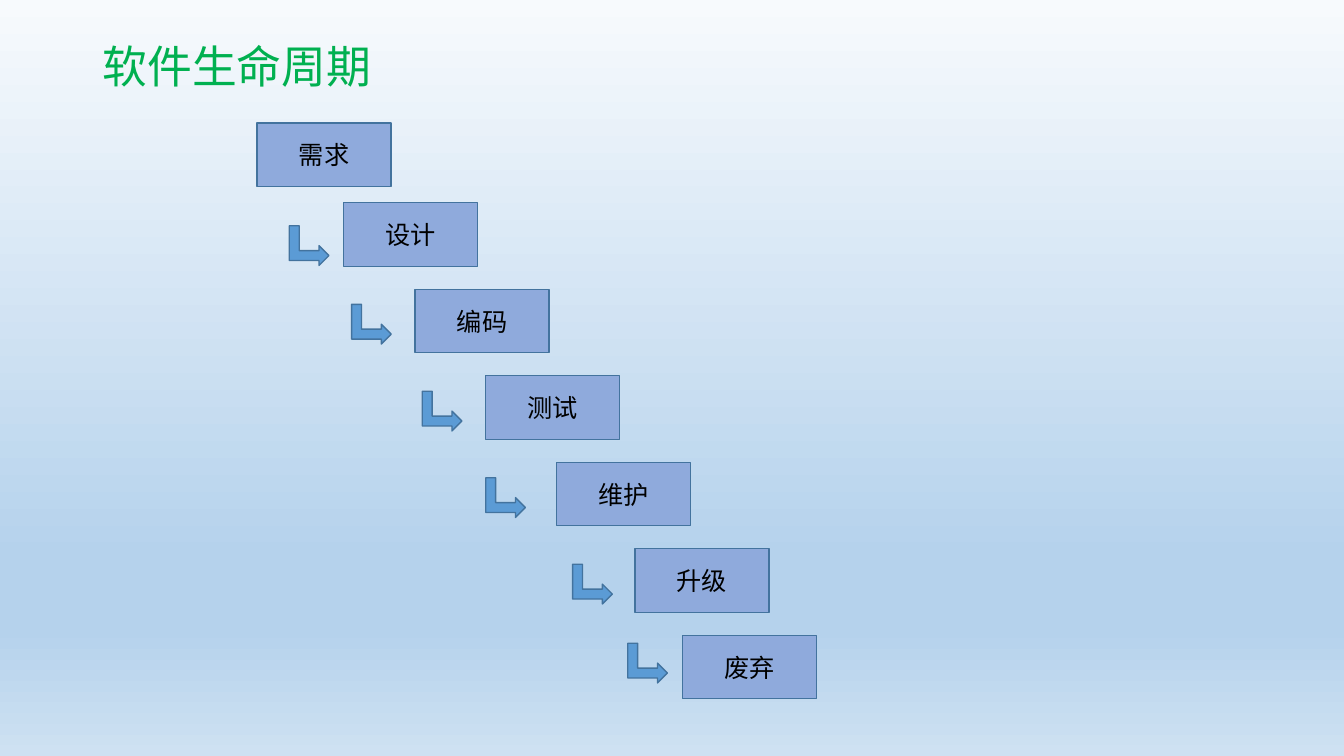
from copy import deepcopy

from lxml import etree
from pptx import Presentation
from pptx.dml.color import RGBColor
from pptx.enum.shapes import MSO_SHAPE
from pptx.enum.text import MSO_ANCHOR, PP_ALIGN
from pptx.oxml.ns import qn
from pptx.util import Cm, Pt

RECTANGLE = MSO_SHAPE.RECTANGLE
BENT_ARROW = MSO_SHAPE.BENT_UP_ARROW
TOP, MIDDLE = MSO_ANCHOR.TOP, MSO_ANCHOR.MIDDLE
LEFT, CENTER = PP_ALIGN.LEFT, PP_ALIGN.CENTER

GREEN = RGBColor(0x00, 0xB0, 0x50)
BLACK = RGBColor(0x00, 0x00, 0x00)
BOX_BLUE = RGBColor(0x8F, 0xAA, 0xDC)
ARROW_BLUE = RGBColor(0x5B, 0x9B, 0xD5)
OUTLINE = RGBColor(0x43, 0x73, 0x9E)
SKY_PALE = RGBColor(0xF7, 0xFA, 0xFD)
SKY_DEEP = RGBColor(0xB5, 0xD2, 0xEC)
SKY_SOFT = RGBColor(0xCE, 0xE1, 0xF2)

CJK_FONT = "Noto Sans CJK SC"
TITLE_FONT = {"name": CJK_FONT, "size": Pt(32), "color": GREEN}
BOX_FONT = {"name": "Calibri", "size": Pt(18), "color": BLACK}


def write_text(shape, text, font, alignment, anchor):
    frame = shape.text_frame
    frame.word_wrap = True
    frame.vertical_anchor = anchor
    para = frame.paragraphs[0]
    para.alignment = alignment
    span = para.add_run()
    span.text = text
    for name, value in font.items():
        if name == "color":
            span.font.color.rgb = value
        else:
            setattr(span.font, name, value)
    east_asian = etree.SubElement(span.font._element, qn("a:ea"))
    east_asian.set("typeface", CJK_FONT)
    return para


def add_filled_shape(kind, left, top, width, height, color):
    shape = slide.shapes.add_shape(kind, Cm(left), Cm(top), Cm(width), Cm(height))
    shape.shadow.inherit = False
    shape.fill.solid()
    shape.fill.fore_color.rgb = color
    shape.line.color.rgb = OUTLINE
    shape.line.width = Pt(1)
    return shape


deck = Presentation()
deck.slide_width, deck.slide_height = Cm(33.87), Cm(19.05)
slide = deck.slides.add_slide(deck.slide_layouts[5])

sky = slide.background.fill
sky.gradient()
sky.gradient_angle = 270
stop_list = next(slide.background._cSld.iter(qn("a:gsLst")))
for stop in list(stop_list):
    stop_list.append(deepcopy(stop))
sky_colors = [(0, SKY_PALE), (0.74, SKY_DEEP), (0.83, SKY_DEEP), (1, SKY_SOFT)]
for stop, (position, color) in zip(sky.gradient_stops, sky_colors):
    stop.position = position
    stop.color.rgb = color

title = slide.shapes.title
title_place = {"left": Cm(2.33), "top": Cm(1.01), "width": Cm(29.21), "height": Cm(3.68)}
for name, value in title_place.items():
    setattr(title, name, value)
title_para = write_text(title, "软件生命周期", TITLE_FONT, LEFT, TOP)
title_para.line_spacing = 0.9

FIRST_TOP, SECOND_TOP, STEP = 3.1, 5.11, 2.18
phases = [
    ("需求", 6.48),
    ("设计", 8.66),
    ("编码", 10.46),
    ("测试", 12.24),
    ("维护", 14.02),
    ("升级", 16.0),
    ("废弃", 17.2),
]
for row, (phase, left) in enumerate(phases):
    top = SECOND_TOP + STEP * (row - 1) if row else FIRST_TOP
    box = add_filled_shape(RECTANGLE, left, top, 3.38, 1.6, BOX_BLUE)
    write_text(box, phase, BOX_FONT, CENTER, MIDDLE)

arrow_places = [
    (7.29, 5.69),
    (8.86, 7.67),
    (10.64, 9.86),
    (12.24, 12.04),
    (14.43, 14.22),
    (15.82, 16.21),
]
for left, top in arrow_places:
    arrow = add_filled_shape(BENT_ARROW, left, top, 1, 1, ARROW_BLUE)
    arrow.rotation = 90

deck.save("out.pptx")
